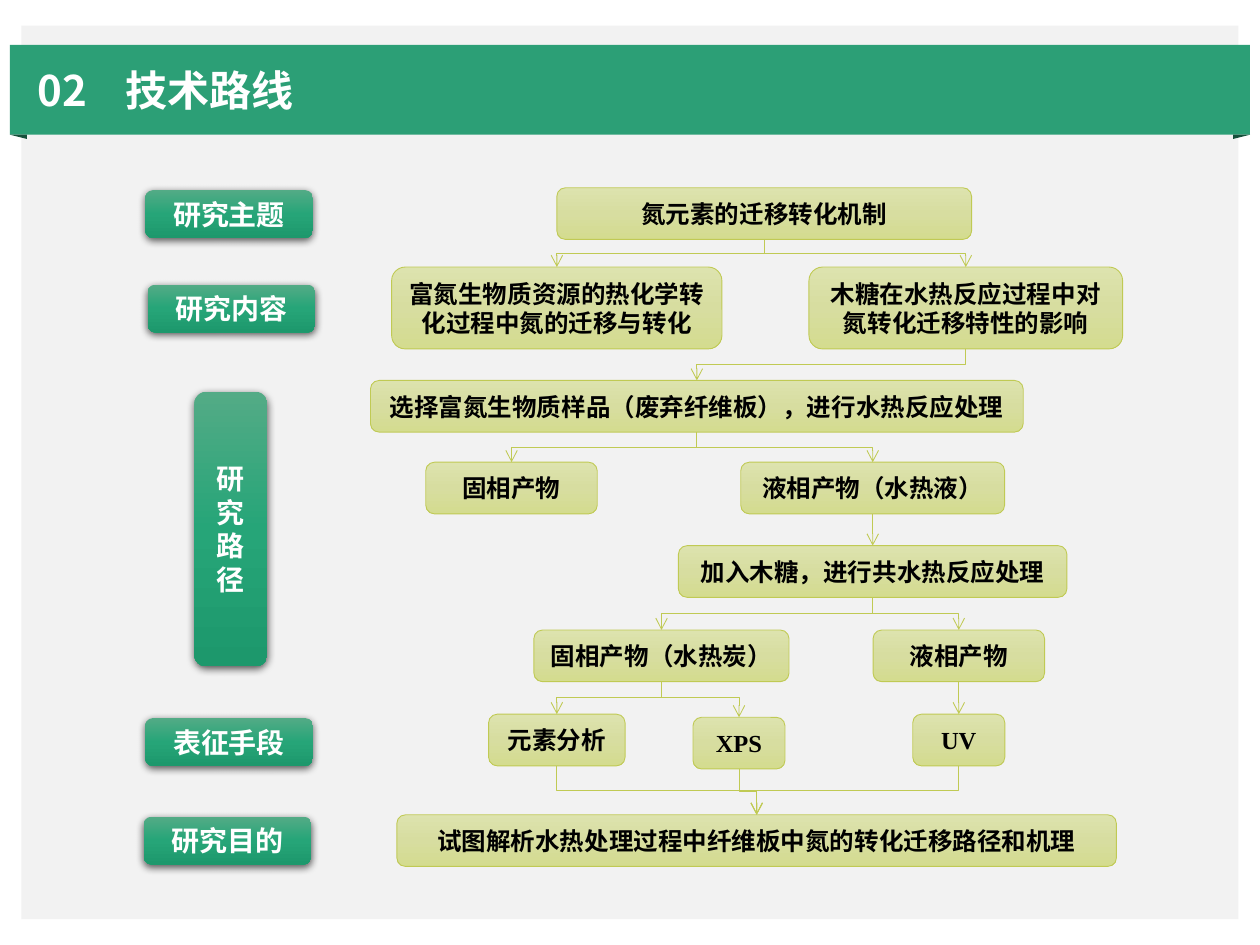
from copy import deepcopy

from lxml import etree
from pptx import Presentation
from pptx import util as u
from pptx.dml import color
from pptx.enum import shapes, text
from pptx.oxml import ns

Pt = u.Pt
SANS, SERIF = "Noto Sans CJK SC", "Times New Roman"
GREENS = ("53AB86", "26A578", "1D986C")
LIMES = ("DDE3AE", "D7DDA0", "D4DC8F")
LIME_EDGE = "C0CA54"
TITLE = {"size": Pt(24), "bold": True, "name": SANS}
LABEL = {"size": Pt(16), "bold": True, "name": SANS}
STEP = {"size": Pt(14), "bold": True, "name": SANS}

LABELS = [
    (0.8, 0, 95.8, 27.4, "研究主题"),
    (2.2, 54, 95.8, 27.4, "研究内容"),
    (28.8, 115.2, 41.8, 157, "研究路径"),
    (0.8, 301.7, 95.8, 27.4, "表征手段"),
    (0, 358, 95.8, 27.4, "研究目的"),
]
STEP_HEIGHT, TOPIC_HEIGHT = 29.5, 46.8
STEPS = {
    "theme": (225, 0, 237, STEP_HEIGHT, "氮元素的迁移转化机制"),
    "xylose": (340.2, 45.3, 179.3, TOPIC_HEIGHT, "木糖在水热反应过程中对氮转化迁移特性的影响"),
    "biomass": (106.5, 45.3, 188.8, TOPIC_HEIGHT, "富氮生物质资源的热化学转化过程中氮的迁移与转化"),
    "sample": (186.5, 110.1, 373, STEP_HEIGHT, "选择富氮生物质样品（废弃纤维板），进行水热反应处理"),
    "solid": (80.6, 156.8, 98, STEP_HEIGHT, "固相产物"),
    "liquor": (287, 156.8, 150.8, STEP_HEIGHT, "液相产物（水热液）"),
    "mixing": (287, 204.5, 222, STEP_HEIGHT, "加入木糖，进行共水热反应处理"),
    "liquid": (336.2, 252.7, 98, STEP_HEIGHT, "液相产物"),
    "char": (166.3, 252.7, 145.8, STEP_HEIGHT, "固相产物（水热炭）"),
    "elements": (106.5, 300.8, 78, STEP_HEIGHT, "元素分析"),
    "xps": (210.6, 302.6, 52.6, STEP_HEIGHT, "XPS"),
    "uv": (336.2, 300.8, 52.6, STEP_HEIGHT, "UV"),
    "aim": (220.7, 358.3, 411.2, STEP_HEIGHT, "试图解析水热处理过程中纤维板中氮的转化迁移路径和机理"),
}
ARROWS = [
    ("theme", "xylose", 0.5), ("theme", "biomass", 0.5), ("xylose", "sample", 0.5),
    ("sample", "liquor", 0.5), ("sample", "solid", 0.5), ("liquor", "mixing", 0.5),
    ("mixing", "liquid", 0.5), ("mixing", "char", 0.5), ("char", "elements", 0.5),
    ("char", "xps", 0.45), ("liquid", "uv", 0.5), ("elements", "aim", 0.5),
    ("xps", "aim", 0.5), ("uv", "aim", 0.5),
]


def rgb(value):
    """Turn a hex string into a colour."""
    return color.RGBColor.from_string(value)


def add_xml(parent, tag, **attributes):
    """Append a DrawingML element to its parent."""
    return etree.SubElement(parent, ns.qn(tag), attributes)


def write(paragraph, words, look, ink):
    """Put one formatted run in a paragraph."""
    run = paragraph.add_run()
    run.text = words
    for key, value in look.items():
        setattr(run.font, key, value)
    run.font.color.rgb = rgb(ink)
    add_xml(run._r.get_or_add_rPr(), "a:ea", typeface=look["name"])


def paint(shape, fill):
    """Give a shape a flat fill with no line or shadow."""
    shape.shadow.inherit = False
    shape.fill.solid()
    shape.fill.fore_color.rgb = rgb(fill)
    shape.line.fill.background()


def shade(shape, hues):
    """Fill a shape with three hues running downwards."""
    shape.fill.gradient()
    stop_list = shape._element.spPr.find(".//" + ns.qn("a:gsLst"))
    stop_list.insert(1, deepcopy(stop_list[0]))
    for stop, hue, position in zip(shape.fill.gradient_stops, hues, (0, 0.5, 1)):
        stop.color.rgb = rgb(hue)
        stop.position = position
    shape.fill.gradient_angle = 270


def pill(slide, box, words, hues, look, ink):
    """Add a rounded, shaded box with centred words."""
    kind = shapes.MSO_SHAPE.FLOWCHART_ALTERNATE_PROCESS
    shape = slide.shapes.add_shape(kind, *map(Pt, box))
    shape.shadow.inherit = False
    shade(shape, hues)
    shape.line.fill.background()
    frame = shape.text_frame
    frame.word_wrap = True
    frame.vertical_anchor = text.MSO_ANCHOR.MIDDLE
    frame.paragraphs[0].alignment = text.PP_ALIGN.CENTER
    write(frame.paragraphs[0], words, look, ink)
    return shape


def drop_shadow(shape):
    """Cast a soft shadow below a shape."""
    effects = shape._element.spPr.find(ns.qn("a:effectLst"))
    shadow = add_xml(effects, "a:outerShdw", blurRad=str(Pt(4.5)), dist=str(Pt(1.5)),
                     dir="5400000", algn="ctr", rotWithShape="0")
    add_xml(add_xml(shadow, "a:srgbClr", val="000000"), "a:alpha", val="63000")


def panel(slide, left, top, width, height):
    """Lay the grey sheet behind the content."""
    sheet = slide.shapes.add_shape(shapes.MSO_SHAPE.RECTANGLE,
                                   *map(Pt, (left, top, width, height)))
    paint(sheet, "F2F2F2")


def banner(slide, left, top, width, height):
    """Draw the ribbon with its folded ends and the title."""
    ribbon = slide.shapes.add_shape(shapes.MSO_SHAPE.RECTANGLE,
                                    *map(Pt, (left, top, width, height)))
    paint(ribbon, "2C9F76")
    bottom = top + height
    for outer, inner in ((left, left + 9.6), (left + width, left + width - 9.6)):
        outline = slide.shapes.build_freeform(Pt(outer), Pt(bottom))
        outline.add_line_segments([(Pt(inner), Pt(bottom)), (Pt(inner), Pt(bottom + 2.4))])
        paint(outline.convert_to_shape(), "16503B")
    title = slide.shapes.add_textbox(*map(Pt, (left + 8.6, top + 11.5, 690.5, 28)))
    frame = title.text_frame
    frame.word_wrap = True
    frame.vertical_anchor = text.MSO_ANCHOR.MIDDLE
    heading = frame.paragraphs[0]
    tabs = add_xml(heading._p.get_or_add_pPr(), "a:tabLst")
    add_xml(tabs, "a:tab", pos=str(Pt(50.4)), algn="l")
    write(heading, "02\t技术路线", TITLE, "FFFFFF")


def stage_labels(slide, left, top):
    """Place the green stage labels down the left side."""
    for x, y, width, height, words in LABELS:
        drop_shadow(pill(slide, (left + x, top + y, width, height),
                         words, GREENS, LABEL, "FFFFFF"))


def arrow(slide, source, target, bend):
    """Join the bottom of one step to the top of another."""
    x1, y1 = source.left + source.width // 2, source.top + source.height
    x2, y2 = target.left + target.width // 2, target.top
    straight = abs(x2 - x1) < Pt(0.1)
    kind = shapes.MSO_CONNECTOR.STRAIGHT if straight else shapes.MSO_CONNECTOR.ELBOW
    link = slide.shapes.add_connector(kind, x1, y1, x2, y2)
    link.begin_connect(source, 2)
    link.end_connect(target, 0)
    properties = link._element.spPr
    if not straight:
        drop, span = y2 - y1, abs(x2 - x1)
        link.left, link.top = (x1 + x2 - drop) // 2, (y1 + y2 - span) // 2
        link.width, link.height = drop, span
        frame = properties.find(ns.qn("a:xfrm"))
        for key, value in {"rot": "5400000", "flipH": "0", "flipV": str(int(x2 > x1))}.items():
            frame.set(key, value)
        guides = properties.find(ns.qn("a:prstGeom")).find(ns.qn("a:avLst"))
        add_xml(guides, "a:gd", name="adj1", fmla=f"val {round(bend * 100000)}")
    link.line.color.rgb = rgb(LIME_EDGE)
    link.line.width = Pt(0.5)
    add_xml(properties.find(ns.qn("a:ln")), "a:tailEnd", type="arrow")
    add_xml(properties, "a:effectLst")


def flow(slide, left, top):
    """Place the research steps and the arrows between them."""
    placed = {}
    for key, (centre, y, width, height, words) in STEPS.items():
        look = {**STEP, "name": SERIF if words.isascii() else SANS}
        box = (left + centre - width / 2, top + y, width, height)
        placed[key] = pill(slide, box, words, LIMES, look, "000000")
        placed[key].line.color.rgb = rgb(LIME_EDGE)
        placed[key].line.width = Pt(0.5)
    for source, target, bend in ARROWS:
        arrow(slide, placed[source], placed[target], bend)


def main():
    """Build the technical route slide."""
    deck = Presentation()
    deck.slide_width, deck.slide_height = Pt(720), Pt(540)
    slide = deck.slides.add_slide(deck.slide_layouts[6])
    panel(slide, 12.3, 14.6, 695.4, 510.6)
    banner(slide, 5.7, 25.6, 708.6, 51.4)
    stage_labels(slide, 82.2, 108.6)
    flow(slide, 211.7, 107.3)
    deck.save("out.pptx")


if __name__ == "__main__":
    main()
